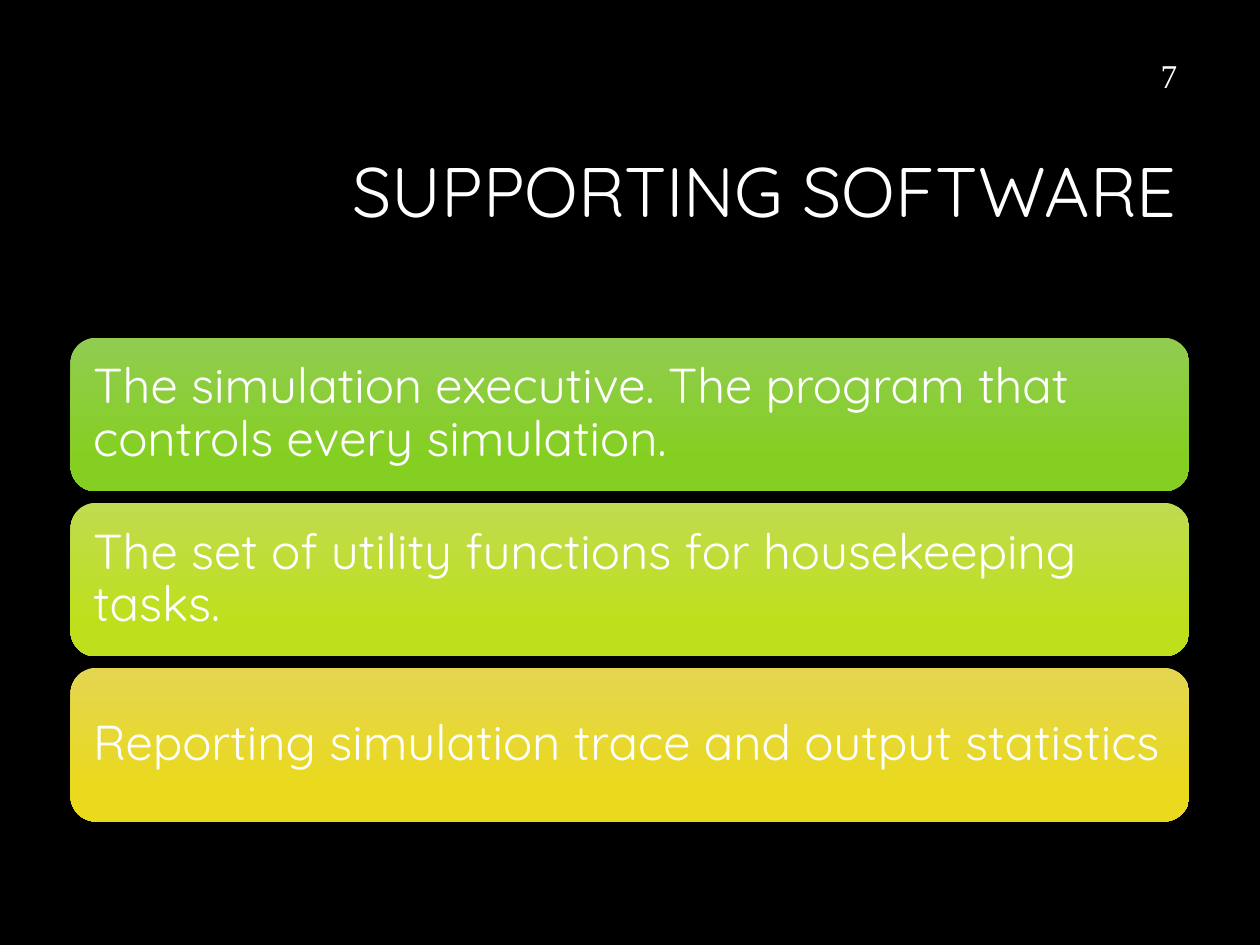
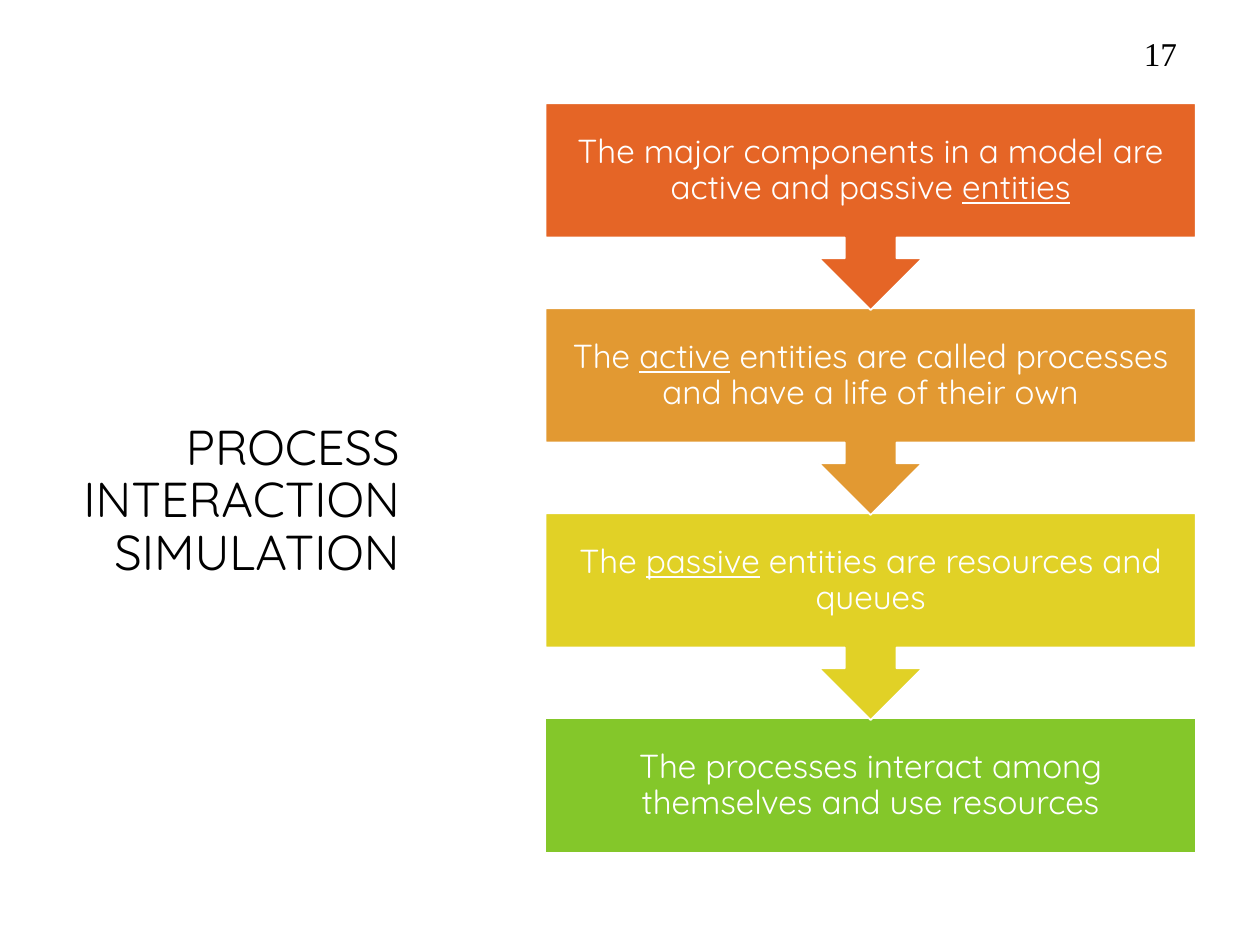
"""Build two slides on simulation software: a list of cards and a chain of callouts."""
from dataclasses import dataclass

from pptx import Presentation
from pptx.dml.color import RGBColor
from pptx.enum.shapes import MSO_SHAPE
from pptx.enum.text import MSO_ANCHOR, PP_ALIGN
from pptx.presentation import Presentation as Deck
from pptx.shapes.autoshape import Shape
from pptx.slide import Slide
from pptx.text.text import TextFrame
from pptx.util import Emu, Inches, Pt

SLIDE_WIDTH, SLIDE_HEIGHT = Inches(10), Inches(7.5)
COLUMNS, ROWS = 100, 75

BLACK = RGBColor(0x00, 0x00, 0x00)
WHITE = RGBColor(0xFF, 0xFF, 0xFF)
GREEN_LIGHT, GREEN = RGBColor(0x91, 0xCC, 0x51), RGBColor(0x85, 0xCF, 0x22)
LIME_LIGHT, LIME = RGBColor(0xBF, 0xDB, 0x50), RGBColor(0xBE, 0xE0, 0x1C)
GOLD_LIGHT, GOLD = RGBColor(0xE4, 0xD6, 0x51), RGBColor(0xEA, 0xD9, 0x1D)
RED_ORANGE = RGBColor(0xE5, 0x65, 0x26)
AMBER = RGBColor(0xE2, 0x99, 0x32)
YELLOW = RGBColor(0xE1, 0xD1, 0x26)
LEAF = RGBColor(0x84, 0xC7, 0x2A)

HEADING_FONT, NUMBER_FONT = "Quicksand", "Times New Roman"
GRADIENT_END = 0.78


@dataclass(frozen=True)
class Area:
    """A rectangle in grid columns and rows."""
    column: float
    row: float
    columns: float
    rows: float

    def below(self, steps: int, pitch: float) -> "Area":
        """Return the area moved down by a number of equal steps."""
        return Area(self.column, self.row + steps * pitch, self.columns, self.rows)

    def lengths(self) -> tuple[Emu, Emu, Emu, Emu]:
        """Return left, top, width and height on the slide."""
        across, down = SLIDE_WIDTH / COLUMNS, SLIDE_HEIGHT / ROWS
        return (Emu(round(self.column * across)), Emu(round(self.row * down)),
                Emu(round(self.columns * across)), Emu(round(self.rows * down)))


@dataclass(frozen=True)
class TextStyle:
    """How a paragraph looks."""
    size: float
    color: RGBColor
    font: str = HEADING_FONT
    align: PP_ALIGN = PP_ALIGN.RIGHT
    inset_x: float = 0.1
    inset_y: float = 0.05


@dataclass(frozen=True)
class Statement:
    """A filled block; every second phrase is underlined."""
    phrases: tuple[str, ...]
    colors: tuple[RGBColor, ...]


CARD_AREA, CARD_PITCH = Area(5.6, 26.8, 88.8, 12.2), 13.1
CARD_TEXT = TextStyle(28, WHITE, align=PP_ALIGN.LEFT, inset_x=0.12, inset_y=0.12)
SUPPORT_CARDS = (
    Statement(("The simulation executive. The program that controls every simulation.",),
              (GREEN_LIGHT, GREEN)),
    Statement(("The set of utility functions for housekeeping tasks.",),
              (LIME_LIGHT, LIME)),
    Statement(("Reporting simulation trace and output statistics",),
              (GOLD_LIGHT, GOLD)),
)

STEP_AREA, STEP_PITCH = Area(43.3, 8.2, 51.6, 16.4), 16.27
LAST_STEP_ROWS = 10.7
STEP_TEXT = TextStyle(19, WHITE, align=PP_ALIGN.CENTER, inset_x=0.15, inset_y=0.15)
PROCESS_STEPS = (
    Statement(("The major components in a model are active and passive ", "entities"),
              (RED_ORANGE,)),
    Statement(("The ", "active", " entities are called processes and have a life of their own"),
              (AMBER,)),
    Statement(("The ", "passive", " entities are resources and queues"), (YELLOW,)),
    Statement(("The processes interact among themselves and use resources",), (LEAF,)),
)


def apply(target: object, values: dict[str, object]) -> None:
    """Set each named attribute of the target."""
    for name, value in values.items():
        setattr(target, name, value)


def write(frame: TextFrame, phrases: tuple[str, ...], style: TextStyle) -> None:
    """Write phrases as one paragraph in the given style."""
    apply(frame, {
        "word_wrap": True, "vertical_anchor": MSO_ANCHOR.MIDDLE,
        "margin_left": Inches(style.inset_x), "margin_right": Inches(style.inset_x),
        "margin_top": Inches(style.inset_y), "margin_bottom": Inches(style.inset_y),
    })
    paragraph = frame.paragraphs[0]
    apply(paragraph, {"alignment": style.align, "line_spacing": 0.9})
    for position, phrase in enumerate(phrases):
        run = paragraph.add_run()
        run.text = phrase
        apply(run.font, {"name": style.font, "size": Pt(style.size),
                         "underline": position % 2 == 1})
        run.font.color.rgb = style.color


def add_label(slide: Slide, area: Area, text: str, style: TextStyle) -> None:
    """Add a text box."""
    write(slide.shapes.add_textbox(*area.lengths()).text_frame, (text,), style)


def add_block(slide: Slide, kind: MSO_SHAPE, area: Area,
              statement: Statement, style: TextStyle) -> Shape:
    """Add a block with a plain or graded fill and its statement."""
    block = slide.shapes.add_shape(kind, *area.lengths())
    block.shadow.inherit = False
    if len(statement.colors) == 1:
        block.fill.solid()
        block.fill.fore_color.rgb = statement.colors[0]
    else:
        block.fill.gradient()
        block.fill.gradient_angle = 270
        stops = zip(block.fill.gradient_stops, statement.colors, (0, GRADIENT_END))
        for stop, color, position in stops:
            stop.color.rgb = color
            stop.position = position
    write(block.text_frame, statement.phrases, style)
    return block


def start_slide(deck: Deck, background: RGBColor, ink: RGBColor, title: str,
                title_area: Area, title_size: float, number: str, number_row: float) -> Slide:
    """Add a slide with its background, title and page number."""
    slide = deck.slides.add_slide(deck.slide_layouts[6])
    slide.background.fill.solid()
    slide.background.fill.fore_color.rgb = background
    add_label(slide, title_area, title, TextStyle(title_size, ink))
    add_label(slide, Area(71.9, number_row, 22.5, 4), number,
              TextStyle(19, ink, NUMBER_FONT))
    return slide


def add_support_slide(deck: Deck) -> None:
    """Add the slide listing the supporting software."""
    slide = start_slide(deck, BLACK, WHITE, "SUPPORTING SOFTWARE",
                        Area(23.8, 8.4, 70.6, 14.1), 40, "7", 4.2)
    for index, card in enumerate(SUPPORT_CARDS):
        block = add_block(slide, MSO_SHAPE.ROUNDED_RECTANGLE,
                          CARD_AREA.below(index, CARD_PITCH), card, CARD_TEXT)
        block.line.fill.background()


def add_process_slide(deck: Deck) -> None:
    """Add the slide chaining the ideas of process interaction."""
    slide = start_slide(deck, WHITE, BLACK, "PROCESS INTERACTION SIMULATION",
                        Area(5.6, 11.7, 27.1, 56.3), 28, "17", 2.4)
    last = len(PROCESS_STEPS) - 1
    for index, step in reversed(list(enumerate(PROCESS_STEPS))):
        area, kind = STEP_AREA.below(index, STEP_PITCH), MSO_SHAPE.DOWN_ARROW_CALLOUT
        if index == last:
            area = Area(area.column, area.row, area.columns, LAST_STEP_ROWS)
            kind = MSO_SHAPE.RECTANGLE
        block = add_block(slide, kind, area, step, STEP_TEXT)
        block.line.color.rgb = WHITE
        block.line.width = Pt(1)


def main() -> None:
    """Build and save the deck."""
    deck = Presentation()
    apply(deck, {"slide_width": SLIDE_WIDTH, "slide_height": SLIDE_HEIGHT})
    add_support_slide(deck)
    add_process_slide(deck)
    deck.save("out.pptx")


if __name__ == "__main__":
    main()
